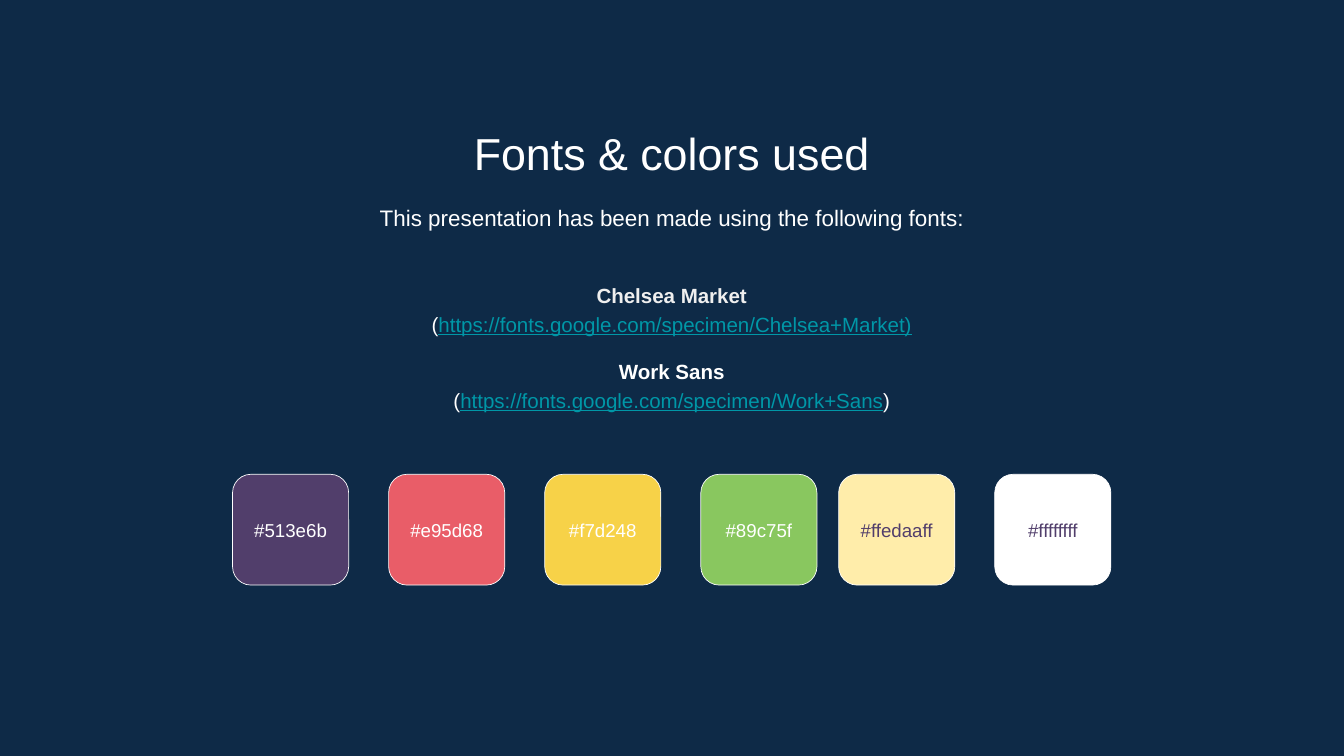
import pptx
import pptx.dml.color
import pptx.enum.shapes
import pptx.enum.text
import pptx.util
from pptx.util import Cm

COLORS = {
    "background": "0E2A47",
    "white": "FFFFFF",
    "soft_white": "EFEFEF",
    "link": "0097A7",
    "purple": "513E6B",
}
FONT = "Arial"
INSET = Cm(0.51)
TOP = pptx.enum.text.MSO_ANCHOR.TOP
MIDDLE = pptx.enum.text.MSO_ANCHOR.MIDDLE


def rgb(value):
    return pptx.dml.color.RGBColor.from_string(value)


def add_text_frame(slide, left, top, width, height, anchor):
    frame = slide.shapes.add_textbox(left, top, width, height).text_frame
    frame.word_wrap = True
    frame.vertical_anchor = anchor
    frame.margin_left = frame.margin_right = INSET
    frame.margin_top = frame.margin_bottom = INSET
    return frame


def style_paragraph(paragraph, size, color, spacing=None, bold=False):
    paragraph.alignment = pptx.enum.text.PP_ALIGN.CENTER
    paragraph.line_spacing = spacing
    paragraph.font.name = FONT
    paragraph.font.size = pptx.util.Pt(size)
    paragraph.font.bold = bold
    paragraph.font.color.rgb = rgb(color)


def add_line(slide, left, top, width, height, text, size, spacing=None,
             color=COLORS["white"], anchor=TOP):
    frame = add_text_frame(slide, left, top, width, height, anchor)
    paragraph = frame.paragraphs[0]
    paragraph.text = text
    style_paragraph(paragraph, size, color, spacing)


def add_heading(slide, left, top, width):
    add_line(slide, left, top, width, Cm(2.69), "Fonts & colors used", 48)
    add_line(slide, left, top + Cm(2.8), width, Cm(2.44),
             "This presentation has been made using the following fonts:", 24, 1.15)


def add_font_list(slide, left, top, width, height):
    fonts = [
        ("Chelsea Market", COLORS["soft_white"],
         "https://fonts.google.com/specimen/Chelsea+Market)", ""),
        ("Work Sans", COLORS["white"],
         "https://fonts.google.com/specimen/Work+Sans", ")"),
    ]
    frame = add_text_frame(slide, left, top, width, height, MIDDLE)
    for index, (name, color, address, ending) in enumerate(fonts):
        title = frame.add_paragraph() if index else frame.paragraphs[0]
        title.text = name
        style_paragraph(title, 22, color, 1.15, bold=True)
        if index:
            title.space_before = pptx.util.Pt(21)

        source = frame.add_paragraph()
        style_paragraph(source, 22, COLORS["white"], 1.15)
        source.add_run().text = "("
        link = source.add_run()
        link.text = address
        link.font.underline = True
        link.font.color.rgb = rgb(COLORS["link"])
        if ending:
            source.add_run().text = ending


def add_swatch(slide, left, top, width, height, label, text_color):
    swatch = slide.shapes.add_shape(
        pptx.enum.shapes.MSO_SHAPE.ROUNDED_RECTANGLE, left, top, width, height)
    swatch.shadow.inherit = False
    swatch.fill.solid()
    swatch.fill.fore_color.rgb = rgb(label[1:7].upper())
    swatch.line.color.rgb = rgb(COLORS["white"])
    swatch.line.width = pptx.util.Pt(0.75)
    label_height = Cm(2.44)
    add_line(slide, left, top + (height - label_height) // 2, width, label_height,
             label, 20, color=text_color, anchor=MIDDLE)


def add_swatch_row(slide, left, top, labels, text_color):
    for index, label in enumerate(labels):
        add_swatch(slide, left + index * Cm(5.9), top, Cm(4.39), Cm(4.19),
                   label, text_color)


def main():
    presentation = pptx.Presentation()
    presentation.slide_width = Cm(50.8)
    presentation.slide_height = Cm(28.58)
    slide = presentation.slides.add_slide(presentation.slide_layouts[6])
    slide.background.fill.solid()
    slide.background.fill.fore_color.rgb = rgb(COLORS["background"])

    left, width = Cm(5.82), Cm(39.14)
    add_heading(slide, left, Cm(4.24), width)
    add_font_list(slide, left, Cm(9.6), width, Cm(6.96))
    add_swatch_row(slide, Cm(8.79), Cm(17.93),
                   ["#513e6b", "#e95d68", "#f7d248", "#89c75f"], COLORS["white"])
    add_swatch_row(slide, Cm(31.7), Cm(17.93),
                   ["#ffedaaff", "#ffffffff"], COLORS["purple"])
    presentation.save("out.pptx")


if __name__ == "__main__":
    main()
